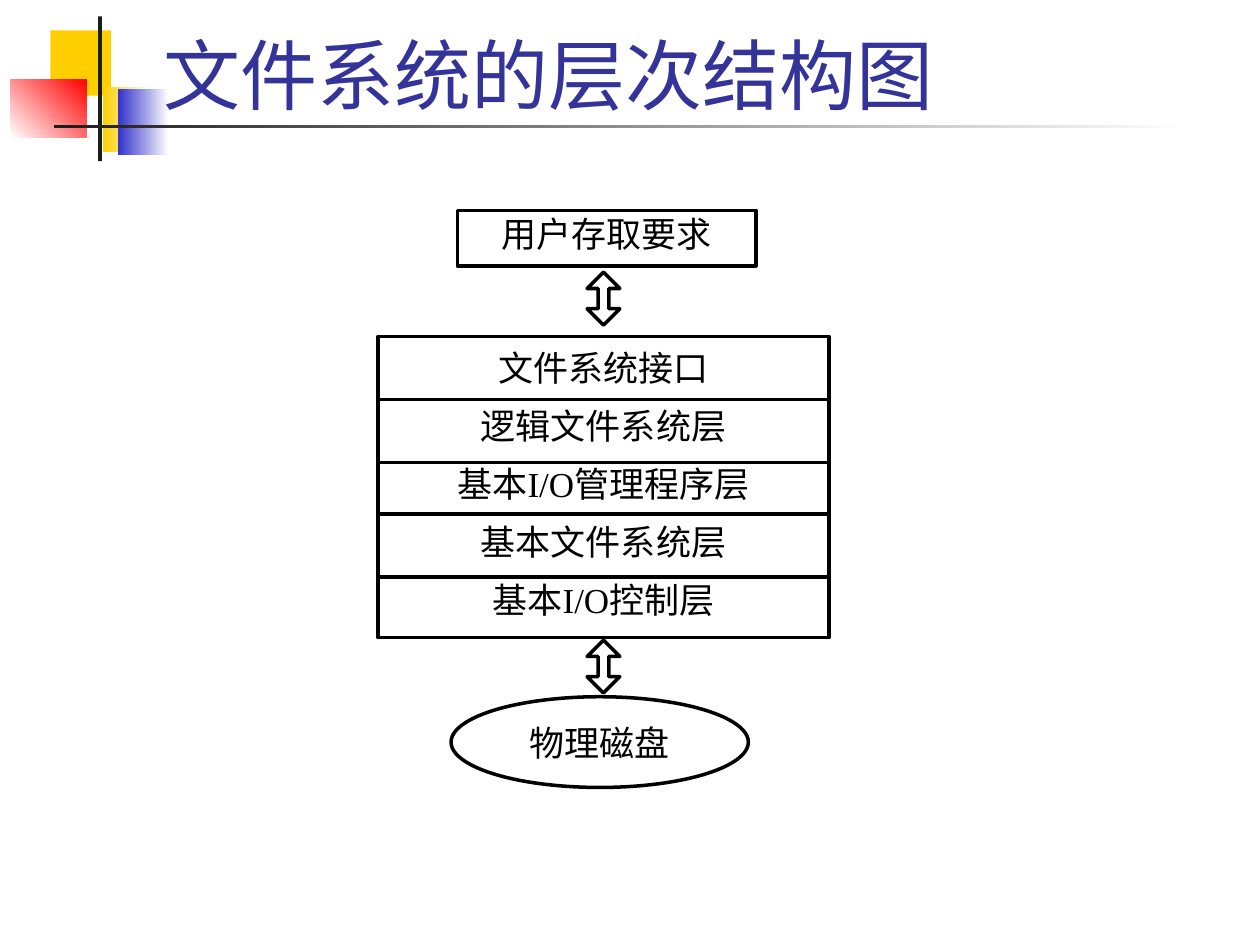
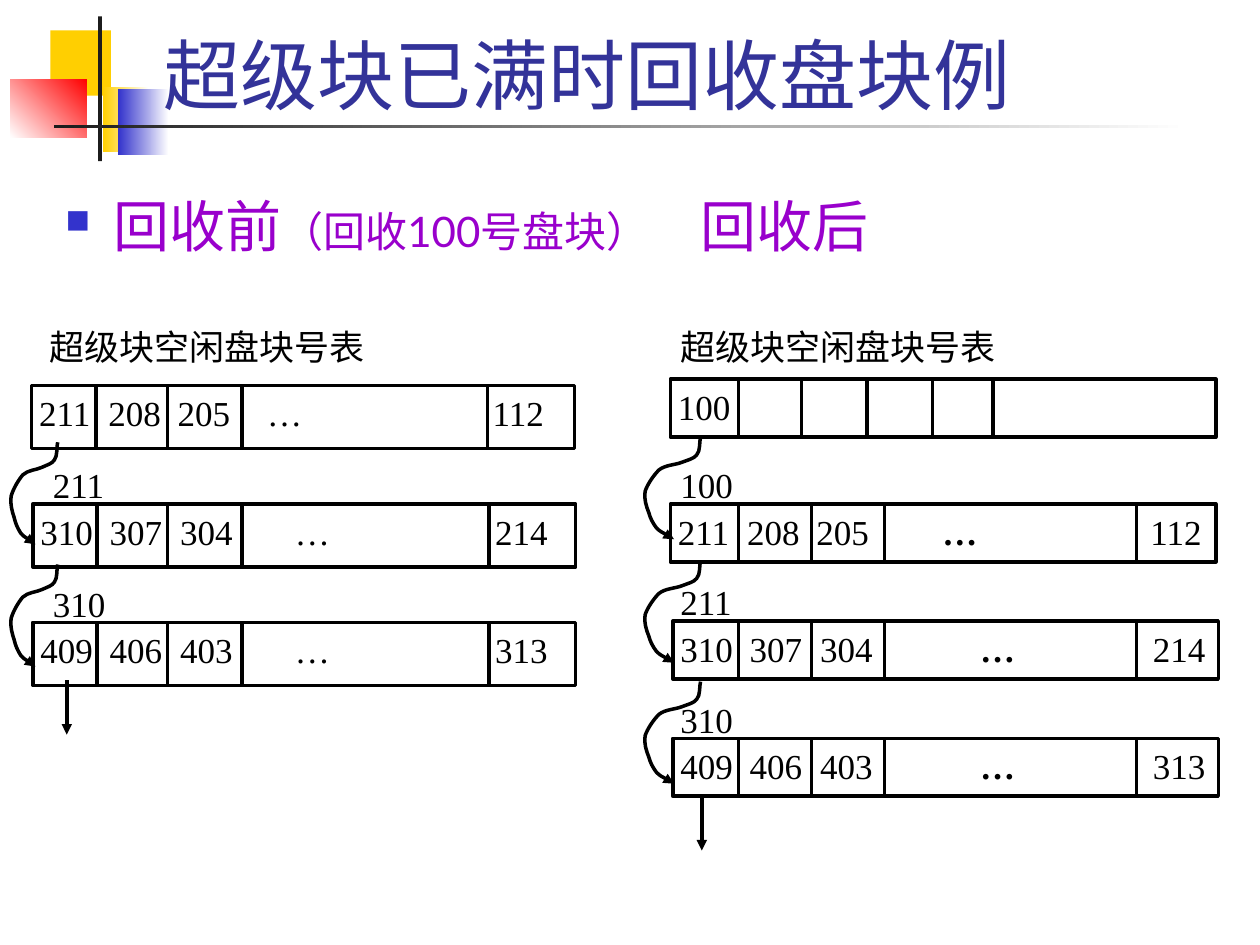
import pptx
import pptx.util
import pptx.dml.color
import pptx.enum.shapes
import pptx.enum.text
import pptx.oxml.ns
from lxml import etree

Inches, Pt = pptx.util.Inches, pptx.util.Pt
RGBColor = pptx.dml.color.RGBColor
SHAPE = pptx.enum.shapes.MSO_SHAPE
ALIGN = pptx.enum.text.PP_ALIGN
ANCHOR = pptx.enum.text.MSO_ANCHOR
qn = pptx.oxml.ns.qn

WHITE = RGBColor(0xFF, 0xFF, 0xFF)
BLACK = RGBColor(0, 0, 0)
YELLOW = RGBColor(0xFF, 0xCF, 0x01)
BLUE = RGBColor(0x33, 0x33, 0xCC)
RED = RGBColor(0xFF, 0, 0)
CHARCOAL = RGBColor(0x1C, 0x1C, 0x1C)
TITLE_BLUE = RGBColor(0x33, 0x33, 0x99)
PURPLE = RGBColor(0x99, 0, 0xCC)
HEADING_FONT, BODY_FONT = "Lato", "Times New Roman"

# ---- Shared decoration: box, then one colour, or two colours and a clockwise angle
DECORATION = [
    ((0.4, 0.24, 0.48, 0.52), YELLOW),
    ((0.82, 0.69, 0.36, 0.52), (WHITE, YELLOW, 180)),
    ((0.94, 0.71, 0.4, 0.52), (WHITE, BLUE, 180)),
    ((0.08, 0.63, 0.61, 0.46), (RED, WHITE, 135)),
    ((0.78, 0.13, 0.03, 1.15), CHARCOAL),
    ((0.43, 0.99, 9, 0.03), (WHITE, CHARCOAL, 180)),
]

# ---- Slide 1 content
LAYERS_TITLE = "文件系统的层次结构图"
LAYERS = ["文件系统接口", "逻辑文件系统层", "基本I/O管理程序层", "基本文件系统层", "基本I/O控制层"]
LAYER_DIVIDERS = [3.17, 3.67, 4.08, 4.58]
USER_REQUEST, DISK = "用户存取要求", "物理磁盘"

# ---- Slide 2 content
RECYCLE_TITLE = "超级块已满时回收盘块例"
HEADING_RUNS = [("回收前", 32), ("（回收100号盘块）", 24), ("\t回收后", 32)]
TABLE_CAPTION = "超级块空闲盘块号表"
# Each row: left, top, block label, cells, tab stops, divider positions
BEFORE = {
    "caption": (0.39, 2.58, 3.2, 0.42), "size": (4.31, 0.5), "label_left": 0.42,
    "bold_dots": False, "curve_left": 0.08, "curve_scale": 0.84,
    "curve_tops": [3.51, 4.48], "end_arrow": (0.53, 5.4),
    "rows": [
        (0.25, 3.06, None, ["211", "208", "205", "…", "112"],
         [0.55, 1.1, 1.81, 3.6], [0.76, 1.33, 1.92, 3.87]),
        (0.26, 4, "211", ["310", "307", "304", "…", "214"],
         [0.55, 1.11, 2.02, 3.61], [0.77, 1.33, 1.92, 3.88]),
        (0.26, 4.94, "310", ["409", "406", "403", "…", "313"],
         [0.55, 1.11, 2.02, 3.61], [0.77, 1.33, 1.92, 3.88]),
    ],
}
AFTER_DIVIDERS = [5.86, 6.44, 7.02, 9.02]
AFTER = {
    "caption": (5.4, 2.58, 3.2, 0.33), "size": (4.33, 0.46), "label_left": 5.4,
    "bold_dots": True, "curve_left": 5.11, "curve_scale": 1,
    "curve_tops": [3.47, 4.45, 5.41], "end_arrow": (5.57, 6.32),
    "rows": [
        (5.32, 3.01, None, ["100"], [], [5.86, 6.36, 6.88, 7.4, 7.88]),
        (5.32, 4, "100", ["211", "208", "205", "…", "112"],
         [0.55, 1.1, 2.1, 3.75], AFTER_DIVIDERS),
        (5.34, 4.93, "211", ["310", "307", "304", "…", "214"],
         [0.55, 1.11, 2.38, 3.75], AFTER_DIVIDERS),
        (5.34, 5.86, "310", ["409", "406", "403", "…", "313"],
         [0.55, 1.11, 2.38, 3.75], AFTER_DIVIDERS),
    ],
}
# Start point, then three Bezier points per segment
CURVE = [
    (0.45, 0), (0.44, 0.03), (0.45, 0.11), (0.42, 0.14),
    (0.4, 0.17), (0.35, 0.18), (0.3, 0.2), (0.25, 0.22), (0.17, 0.22), (0.12, 0.26),
    (0.08, 0.3), (0.03, 0.37), (0.01, 0.43), (0, 0.49), (0.02, 0.55), (0.04, 0.6),
    (0.05, 0.64), (0.07, 0.68), (0.1, 0.72), (0.13, 0.75), (0.21, 0.79), (0.24, 0.81),
]


# ---- Building blocks
def inches(values):
    return [Inches(value) for value in values]


def style_font(font, size, color=BLACK, name=BODY_FONT, bold=False):
    font.size, font.name, font.bold = Pt(size), name, bold
    font.color.rgb = color


def set_margins(frame, horizontal, top, bottom):
    frame.margin_left = frame.margin_right = Inches(horizontal)
    frame.margin_top, frame.margin_bottom = Inches(top), Inches(bottom)


def add_tab_stops(paragraph, positions):
    tab_list = etree.SubElement(paragraph._p.get_or_add_pPr(), qn("a:tabLst"))
    for position in positions:
        etree.SubElement(tab_list, qn("a:tab"), pos=str(Inches(position)), algn="l")


def add_box(slide, kind, box, fill=WHITE, outlined=True):
    shape = slide.shapes.add_shape(kind, *inches(box))
    shape.shadow.inherit = False
    if fill is None:
        shape.fill.background()
    elif isinstance(fill, RGBColor):
        shape.fill.solid()
        shape.fill.fore_color.rgb = fill
    else:
        start, end, angle = fill
        shape.fill.gradient()
        shape.fill.gradient_angle = 360 - angle
        for stop, color, position in zip(shape.fill.gradient_stops, (start, end), (0, 1)):
            stop.color.rgb, stop.position = color, position
    if outlined:
        style_line(shape.line)
    else:
        shape.line.fill.background()
    return shape


def style_line(line, arrow=False):
    line.color.rgb = BLACK
    line.width = Pt(2)
    if arrow:
        etree.SubElement(line._get_or_add_ln(), qn("a:tailEnd"), type="triangle")


def add_line(slide, start, end, arrow=False):
    connector = slide.shapes.add_connector(
        pptx.enum.shapes.MSO_CONNECTOR.STRAIGHT, *inches(start + end))
    style_line(connector.line, arrow)
    etree.SubElement(connector._element.spPr, qn("a:effectLst"))


def add_curve(slide, left, top, scale):
    points = [(Inches(left + x * scale), Inches(top + y)) for x, y in CURVE]
    builder = slide.shapes.build_freeform(*points[0])
    builder.add_line_segments(points[1:], close=False)
    shape = builder.convert_to_shape()
    shape.shadow.inherit = False
    shape.fill.background()
    style_line(shape.line, arrow=True)
    # Turn every three line segments into one cubic segment
    segments = list(shape._element.iter(qn("a:lnTo")))
    for first in range(0, len(segments), 3):
        outline = segments[first].getparent()
        cubic = etree.SubElement(outline, qn("a:cubicBezTo"))
        for segment in segments[first:first + 3]:
            cubic.append(segment[0])
            outline.remove(segment)


def fill_text(frame, lines, align, gap=0):
    frame.word_wrap = True
    frame.text = "\n".join(lines)
    for index, paragraph in enumerate(frame.paragraphs):
        paragraph.alignment = align
        if index and gap:
            paragraph.space_before = Pt(gap)
        for run in paragraph.runs:
            style_font(run.font, 20)


def add_label(slide, box, text):
    frame = slide.shapes.add_textbox(*inches(box)).text_frame
    set_margins(frame, 0, 0, 0)
    fill_text(frame, [text], ALIGN.LEFT)


def add_base_slide(presentation, title):
    slide = presentation.slides.add_slide(presentation.slide_layouts[6])
    for box, fill in DECORATION:
        add_box(slide, SHAPE.RECTANGLE, box, fill, outlined=False)
    frame = slide.shapes.add_textbox(*inches((1.2, 0.17, 8.52, 0.83))).text_frame
    frame.word_wrap = True
    frame.vertical_anchor = ANCHOR.BOTTOM
    frame.text = title
    style_font(frame.paragraphs[0].runs[0].font, 44, TITLE_BLUE, HEADING_FONT)
    return slide


# ---- Slide 1: layers of the file system
def build_layers_slide(presentation):
    slide = add_base_slide(presentation, LAYERS_TITLE)
    left, width = 3, 3.58
    stack = add_box(slide, SHAPE.RECTANGLE, (left, 2.67, width, 2.39))
    set_margins(stack.text_frame, 0.1, 0.08, 0.02)
    stack.text_frame.vertical_anchor = ANCHOR.TOP
    fill_text(stack.text_frame, LAYERS, ALIGN.CENTER, gap=9.2)
    for y in LAYER_DIVIDERS:
        add_line(slide, (left, y), (left + width, y))

    request = add_box(slide, SHAPE.RECTANGLE, (3.63, 1.67, 2.37, 0.44))
    set_margins(request.text_frame, 0.1, 0.02, 0.02)
    request.text_frame.vertical_anchor = ANCHOR.TOP
    fill_text(request.text_frame, [USER_REQUEST], ALIGN.CENTER)

    for top in (2.16, 5.08):
        arrow = add_box(slide, SHAPE.UP_DOWN_ARROW, (4.66, top, 0.26, 0.42))
        arrow.adjustments[0], arrow.adjustments[1] = 0.5, 0.325

    disk = add_box(slide, SHAPE.OVAL, (3.58, 5.53, 2.36, 0.72), fill=None)
    disk.text_frame.vertical_anchor = ANCHOR.MIDDLE
    fill_text(disk.text_frame, [DISK], ALIGN.CENTER)


# ---- Slide 2: free block chains before and after recycling
def add_heading(slide):
    frame = slide.shapes.add_textbox(*inches((0.42, 1.47, 8.5, 0.67))).text_frame
    frame.word_wrap = True
    paragraph = frame.paragraphs[0]
    properties = paragraph._p.get_or_add_pPr()
    properties.set("marL", str(Inches(0.38)))
    properties.set("indent", str(-Inches(0.38)))
    bullet_color = etree.SubElement(properties, qn("a:buClr"))
    etree.SubElement(bullet_color, qn("a:srgbClr"), val=str(BLUE))
    etree.SubElement(properties, qn("a:buSzPct"), val="60000")
    etree.SubElement(properties, qn("a:buChar"), char="■")
    add_tab_stops(paragraph, [5.04])
    for text, size in HEADING_RUNS:
        run = paragraph.add_run()
        run.text = text
        style_font(run.font, size, PURPLE, HEADING_FONT)


def add_chain(slide, chain):
    width, height = chain["size"]
    add_label(slide, chain["caption"], TABLE_CAPTION)
    for left, top, label, cells, tab_stops, dividers in chain["rows"]:
        row = add_box(slide, SHAPE.RECTANGLE, (left, top, width, height))
        frame = row.text_frame
        frame.word_wrap = True
        frame.vertical_anchor = ANCHOR.TOP
        set_margins(frame, 0.06, 0.05, 0.05)
        paragraph = frame.paragraphs[0]
        paragraph.alignment = ALIGN.LEFT
        if tab_stops:
            add_tab_stops(paragraph, tab_stops)
        for index, cell in enumerate(cells):
            run = paragraph.add_run()
            run.text = "\t" + cell if index else cell
            style_font(run.font, 20, bold=chain["bold_dots"] and cell == "…")
        for x in dividers:
            add_line(slide, (x, top), (x, top + height))
        if label:
            add_label(slide, (chain["label_left"], top - 0.32, 0.47, 0.24), label)
    for top in chain["curve_tops"]:
        add_curve(slide, chain["curve_left"], top, chain["curve_scale"])
    x, y = chain["end_arrow"]
    add_line(slide, (x, y), (x, y + 0.43), arrow=True)


def build_recycle_slide(presentation):
    slide = add_base_slide(presentation, RECYCLE_TITLE)
    add_heading(slide)
    for chain in (BEFORE, AFTER):
        add_chain(slide, chain)


def main():
    presentation = pptx.Presentation()
    presentation.slide_width, presentation.slide_height = Inches(10), Inches(7.5)
    build_layers_slide(presentation)
    build_recycle_slide(presentation)
    presentation.save("out.pptx")


if __name__ == "__main__":
    main()
